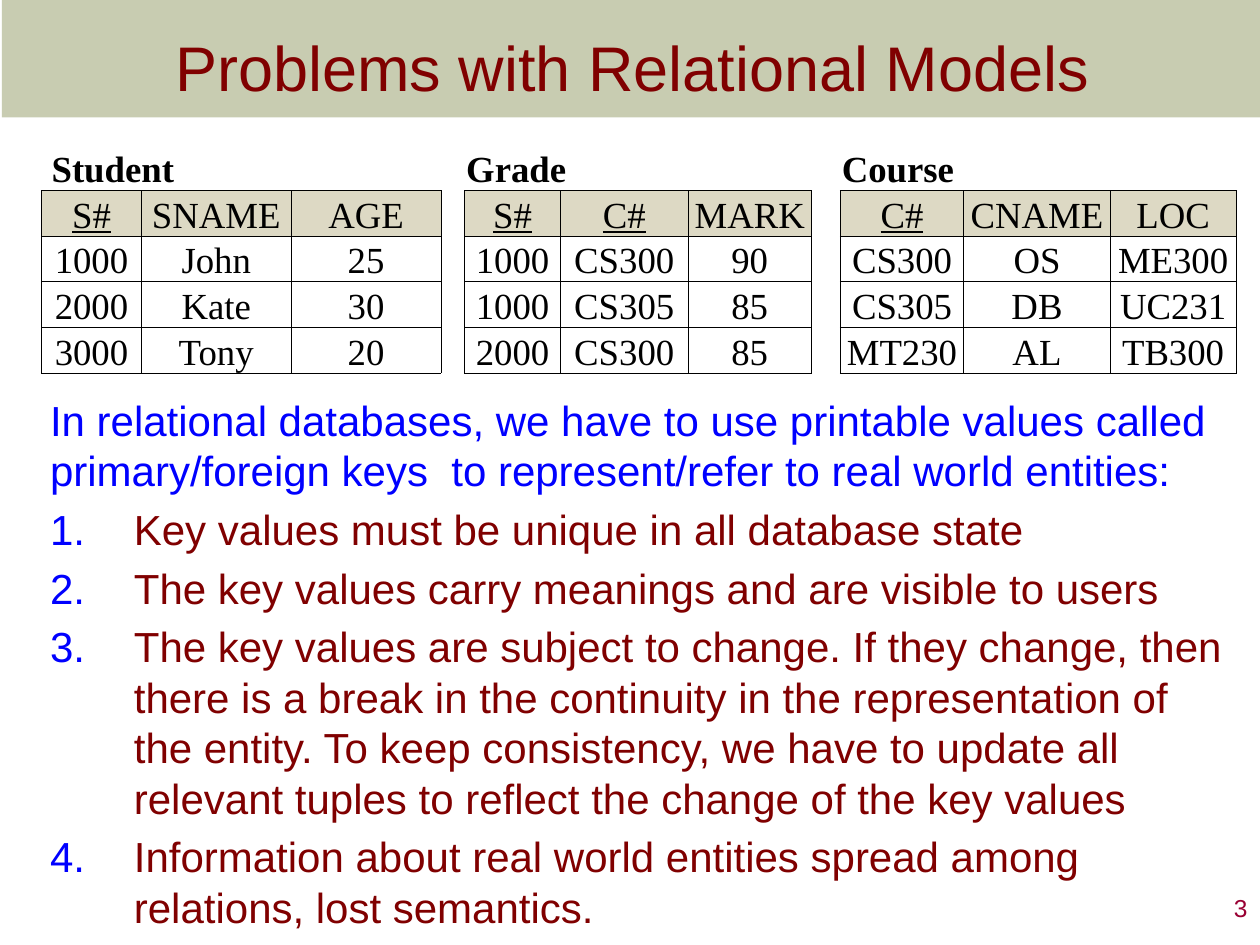
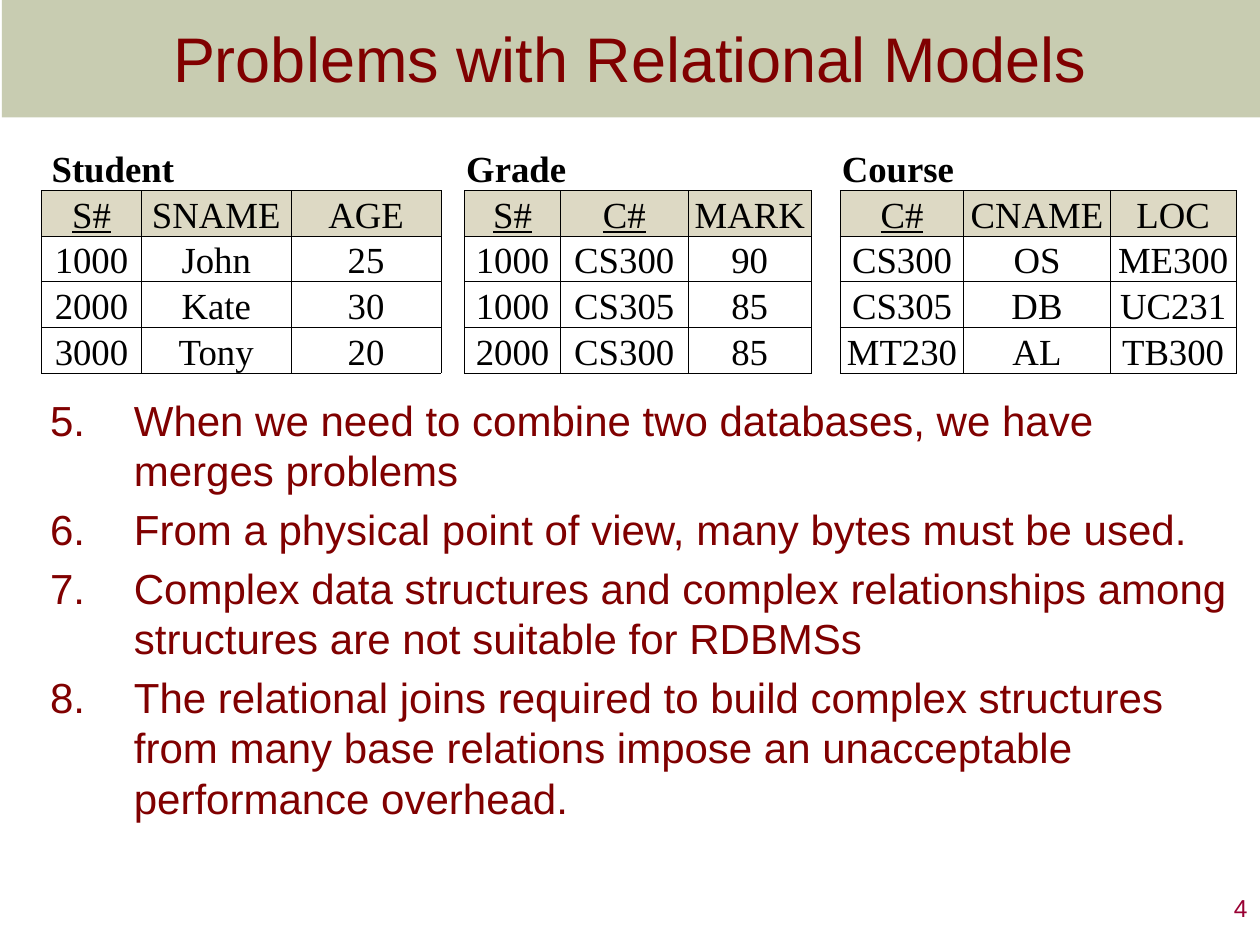
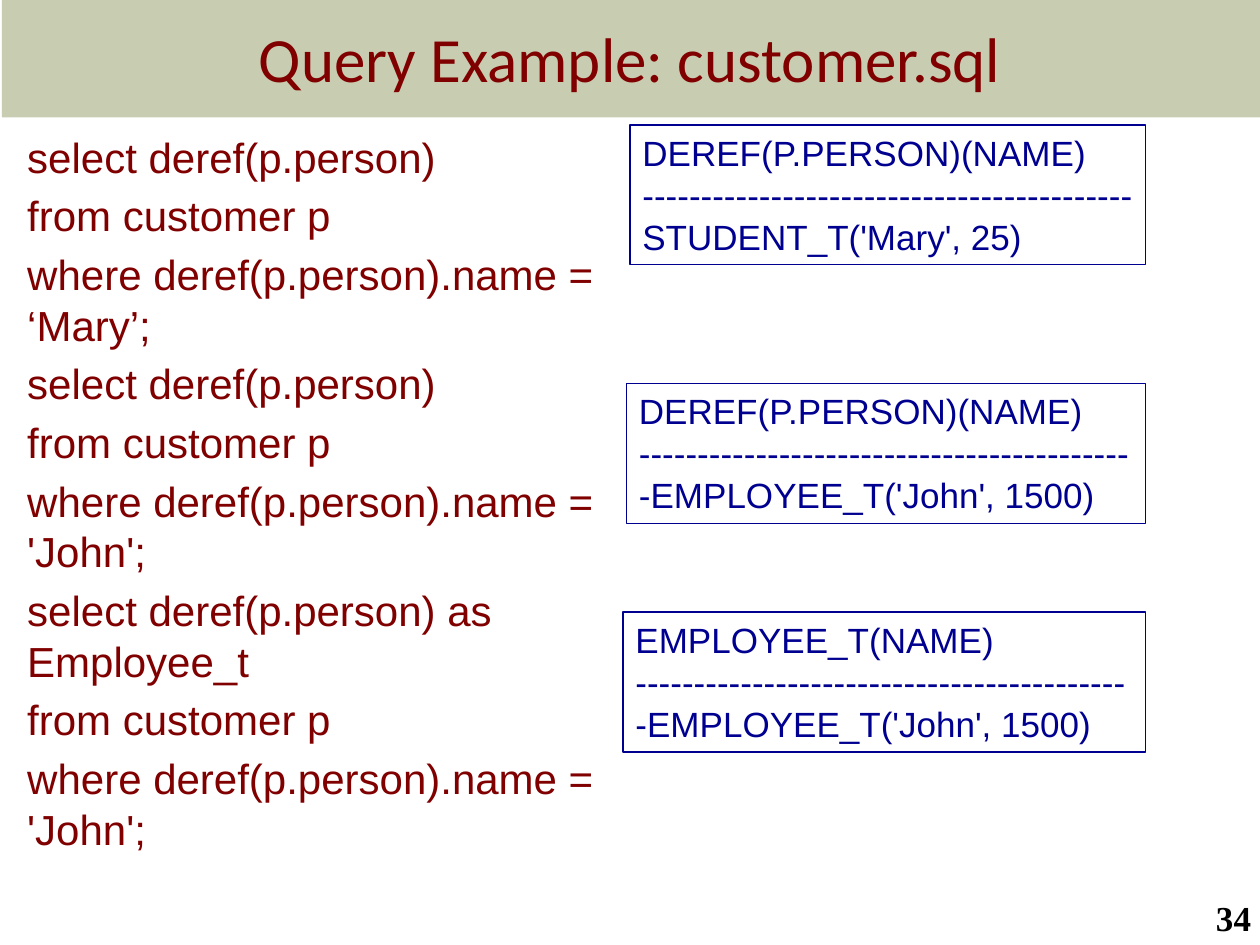
from lxml.etree import SubElement as Sub
from pptx import Presentation
from pptx.dml.color import RGBColor
from pptx.enum.shapes import MSO_SHAPE as Shape
from pptx.enum.text import MSO_ANCHOR as Anchor, PP_ALIGN as Align
from pptx.oxml.ns import qn
from pptx.util import Cm, Pt

WIDE, HIGH = 25.4, 19.05
MAROON, BLUE, NAVY, BLACK, WHITE = "800000", "0000FF", "000090", "000000", "FFFFFF"
OLIVE, SAND, WINE = "677228", "DDD9C4", "990033"
SERIF = "Times New Roman"
NO_GRID = "{2D5ABB26-0587-4C30-8999-92F81FD0307C}"

# Each relation: name, name indent, column widths, key columns, rows with header first
RELATIONS = [
    ("Student", 0.2, (2.01, 3.02, 3.02), {"S#"},
     [("S#", "SNAME", "AGE"), ("1000", "John", "25"),
      ("2000", "Kate", "30"), ("3000", "Tony", "20")]),
    ("Grade", 0.03, (1.93, 2.57, 2.49), {"S#", "C#"},
     [("S#", "C#", "MARK"), ("1000", "CS300", "90"),
      ("1000", "CS305", "85"), ("2000", "CS300", "85")]),
    ("Course", 0.03, (2.49, 2.95, 2.54), {"C#"},
     [("C#", "CNAME", "LOC"), ("CS300", "OS", "ME300"),
      ("CS305", "DB", "UC231"), ("MT230", "AL", "TB300")]),
]
GAPS = (0.48, 0.58)
ROW = 0.92

INTRO = ("In relational databases, we have to use printable values called "
         "primary/foreign keys  to represent/refer to real world entities:")
KEYS = [
    "Key values must be unique in all database state",
    "The key values carry meanings and are visible to users",
    "The key values are subject to change. If they change, then there is a break in "
    "the continuity in the representation of the entity. To keep consistency, we have "
    "to update all relevant tuples to reflect the change of the key values",
    "Information about real world entities spread among relations, lost semantics.",
]
LIMITS = [
    "When we need to combine two databases, we have merges problems",
    "From a physical point of view, many bytes must be used.",
    "Complex data structures and complex relationships among structures are not "
    "suitable for RDBMSs",
    "The relational joins required to build complex structures from many base "
    "relations impose an unacceptable performance overhead.",
]
QUERY = [
    "select deref(p.person)", "from customer p", "where deref(p.person).name = ‘Mary’;",
    "select deref(p.person)", "from customer p", "where deref(p.person).name = 'John';",
    "select deref(p.person) as Employee_t", "from customer p",
    "where deref(p.person).name = 'John';",
]
# Each result: left, top, heading, dashes, row
RESULTS = [
    (12.7, 2.52, "DEREF(P.PERSON)(NAME)", 42, "STUDENT_T('Mary', 25)"),
    (12.63, 7.73, "DEREF(P.PERSON)(NAME)", 43, "EMPLOYEE_T('John', 1500)"),
    (12.56, 12.34, "EMPLOYEE_T(NAME)", 43, "EMPLOYEE_T('John', 1500)"),
]
RIGHT = 23.09


def color(code):
    return RGBColor.from_string(code)


def number(para, start, tint):
    """Give a paragraph a hanging automatic number."""
    props = para._p.get_or_add_pPr()
    props.set("marL", str(Cm(1.69)))
    props.set("indent", str(-Cm(1.69)))
    Sub(Sub(props, qn("a:buClr")), qn("a:srgbClr"), val=tint)
    Sub(props, qn("a:buFont"), typeface="Arial")
    Sub(props, qn("a:buAutoNum"), type="arabicPeriod", startAt=str(start))


def text(frame, lines, size=24, font="Arial", tint=MAROON, bold=False, under=False,
         align=Align.LEFT, gap=0, start=None, mark=MAROON):
    """Add paragraphs to a frame, numbered from start if that is given."""
    for line in lines:
        first = not frame.text
        para = frame.paragraphs[0] if first else frame.add_paragraph()
        if start:
            number(para, start, mark)
        para.alignment = align
        if gap and not first:
            para.space_before = Pt(gap)
        run = para.add_run()
        run.text = line
        face = run.font
        face.name, face.size, face.bold, face.underline = font, Pt(size), bold, under
        face.color.rgb = color(tint)


def frame(slide, left, top, width, height, anchor=Anchor.TOP):
    box = slide.shapes.add_textbox(Cm(left), Cm(top), Cm(width), Cm(height))
    box.text_frame.word_wrap = True
    box.text_frame.vertical_anchor = anchor
    return box.text_frame


def rect(slide, left, top, width, height):
    shape = slide.shapes.add_shape(Shape.RECTANGLE, Cm(left), Cm(top), Cm(width), Cm(height))
    shape.shadow.inherit = False
    return shape


def page(deck, title, left=0, top=0, height=2.31, font="Arial"):
    """Add a slide with the title band."""
    slide = deck.slides.add_slide(deck.slide_layouts[6])
    band = rect(slide, 0.04, 0, WIDE - 0.04, 2.37)
    band.fill.solid()
    band.fill.fore_color.rgb = color(OLIVE)
    tone = band.fill._xPr.find(".//" + qn("a:srgbClr"))
    Sub(tone, qn("a:alpha"), val="36000")
    band.line.fill.background()
    text(frame(slide, left, top, WIDE - left, height, Anchor.MIDDLE), [title],
         size=36, font=font, align=Align.CENTER)
    return slide


def folio(slide, num):
    text(frame(slide, 20.12, 17.88, 5.28, 1.17), [num], size=14, tint=WINE,
         align=Align.RIGHT)


def edges(cell, sides):
    """Draw thin black borders on the named sides: L, R, T, B."""
    props = cell._tc.get_or_add_tcPr()
    for spot, side in enumerate(sides):
        line = Sub(props, qn("a:ln" + side), w=str(Pt(0.5)))
        Sub(Sub(line, qn("a:solidFill")), qn("a:srgbClr"), val=BLACK)
        props.insert(spot, line)


def paint(cell, fill=WHITE, indent=0.03):
    cell.fill.solid()
    cell.fill.fore_color.rgb = color(fill)
    cell.vertical_anchor = Anchor.BOTTOM
    cell.margin_left = Cm(indent)
    cell.margin_right = cell.margin_top = Cm(0.03)
    cell.margin_bottom = 0


def tables(slide):
    """Set the three relations side by side in one grid."""
    widths = []
    for spot, relation in enumerate(RELATIONS):
        widths += [*GAPS[spot - 1:spot], *relation[2]] if spot else relation[2]
    grid = slide.shapes.add_table(5, len(widths), Cm(0.84), Cm(2.92),
                                  Cm(sum(widths)), Cm(5 * ROW)).table
    grid.first_row = grid.horz_banding = False
    grid._tbl.tblPr.find(qn("a:tableStyleId")).text = NO_GRID
    for col, width in zip(grid.columns, widths):
        col.width = Cm(width)
    for row in grid.rows:
        row.height = Cm(ROW)
    for cell in grid.iter_cells():
        paint(cell)

    for spot, (name, indent, _, keys, rows) in enumerate(RELATIONS):
        left = spot * 4
        head = grid.cell(0, left)
        head.merge(grid.cell(0, left + (1 if spot == 0 else 2)))
        paint(head, indent=indent)
        text(head.text_frame, [name], size=21, font=SERIF, tint=BLACK, bold=True)
        for col in range(left, left + 3):
            edges(grid.cell(0, col), "B")
        for down, row in enumerate(rows, 1):
            for col, word in enumerate(row, left):
                cell = grid.cell(down, col)
                paint(cell, SAND if down == 1 else WHITE)
                edges(cell, "LRTB")
                text(cell.text_frame, [word], size=21, font=SERIF, tint=BLACK,
                     under=down == 1 and word in keys, align=Align.CENTER)


def result(slide, left, top, head, dashes, row):
    box = rect(slide, left, top, RIGHT - left, 2.82)
    box.fill.background()
    box.line.color.rgb = color(NAVY)
    box.line.width = Pt(0.75)
    box.text_frame.word_wrap = True
    box.text_frame.vertical_anchor = Anchor.TOP
    text(box.text_frame, [head, "-" * dashes + row], size=20, tint=NAVY)


def main():
    deck = Presentation()
    deck.slide_width, deck.slide_height = Cm(WIDE), Cm(HIGH)

    slide = page(deck, "Problems with Relational Models", left=0.1, top=0.13, height=2.41)
    body = frame(slide, 0.76, 7.82, 24.33, 11.23)
    text(body, [INTRO], tint=BLUE)
    text(body, KEYS, gap=4.8, start=1, mark=BLUE)
    folio(slide, "3")
    tables(slide)

    slide = page(deck, "Problems with Relational Models")
    text(frame(slide, 0.76, 7.82, 24.33, 8.33), LIMITS, gap=4.8, start=5)
    folio(slide, "4")
    tables(slide)

    slide = page(deck, "Query Example: customer.sql", font="Calibri")
    text(frame(slide, 0.3, 2.52, 12.7, 14.17), QUERY, gap=4.8)
    text(frame(slide, 20.19, 17.78, 5.28, 1.27, Anchor.BOTTOM), ["34"], size=20,
         font=SERIF, tint=BLACK, bold=True, align=Align.RIGHT)
    for item in RESULTS:
        result(slide, *item)

    deck.save("out.pptx")


if __name__ == "__main__":
    main()
